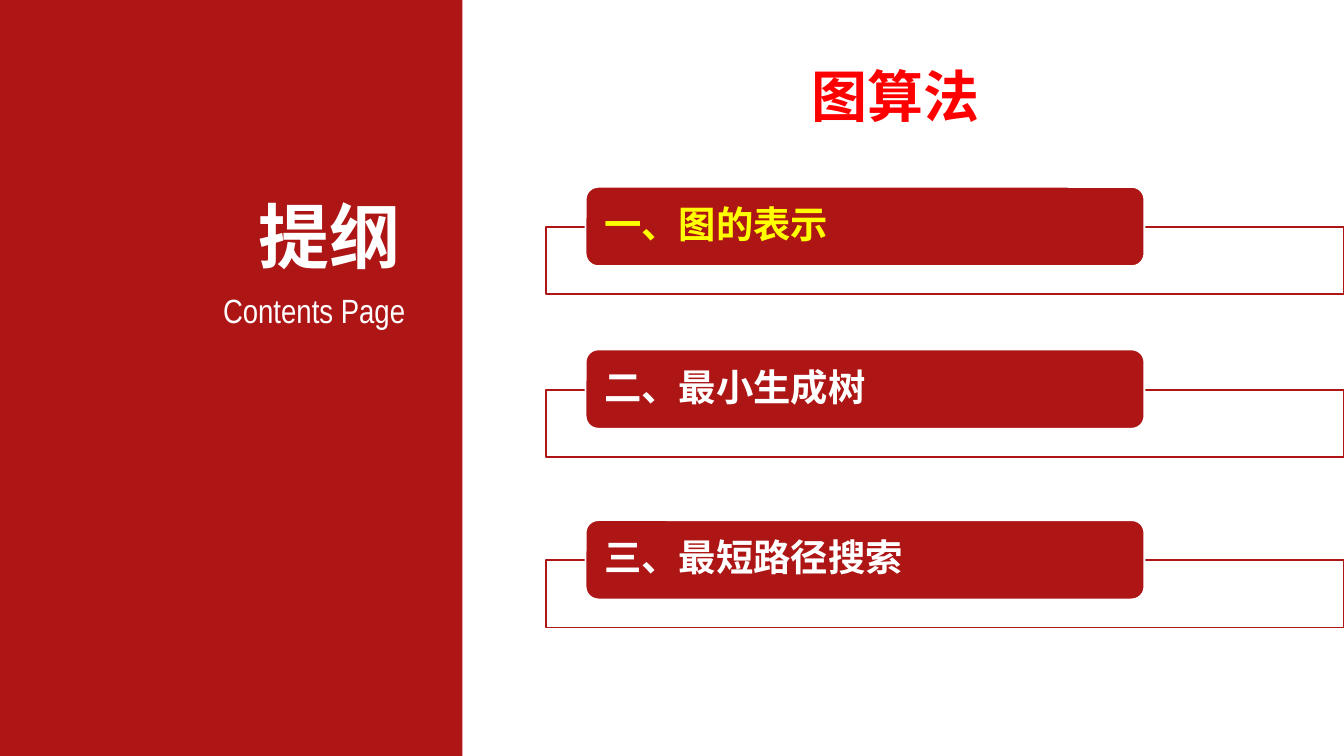
import dataclasses

import pptx
import pptx.dml.color
import pptx.enum.shapes
import pptx.enum.text
import pptx.oxml
import pptx.oxml.ns
import pptx.util

SHAPE = pptx.enum.shapes.MSO_SHAPE
ALIGN = pptx.enum.text.PP_ALIGN
ANCHOR = pptx.enum.text.MSO_ANCHOR
WIDTH = 10
HEIGHT = WIDTH * 9 / 16


@dataclasses.dataclass(frozen=True)
class Theme:
    red: str = "AE1616"
    white: str = "FFFFFF"
    title: str = "FF0000"
    current: str = "FFFF00"
    latin: str = "Arial"
    narrow: str = "Arial Narrow"
    bar: str = "Roboto"
    chinese: str = "Noto Sans CJK SC"
    heading_size: int = 38
    title_size: int = 30
    item_size: int = 20
    caption_size: int = 18


THEME = Theme()


def rgb(color):
    return pptx.dml.color.RGBColor.from_string(color)


def inches(box):
    return [pptx.util.Inches(v) for v in box]


def add_box(slide, kind, box, fill, line=None, alpha=None):
    sp = slide.shapes.add_shape(kind, *inches(box))
    sp.shadow.inherit = False
    sp.fill.solid()
    sp.fill.fore_color.rgb = rgb(fill)
    if line:
        sp.line.color.rgb = rgb(line)
        sp.line.width = pptx.util.Pt(1)
    else:
        sp.line.fill.background()
    if alpha:
        color = sp.fill._xPr.find(".//" + pptx.oxml.ns.qn("a:srgbClr"))
        node = pptx.oxml.parse_xml(f'<a:alpha {pptx.oxml.ns.nsdecls("a")} val="{alpha * 1000}"/>')
        color.append(node)
    return sp


def write(sp, text, size, color, font, align, bold=True, spacing=None,
          margins=(0.1, 0.05), anchor=ANCHOR.TOP):
    tf = sp.text_frame
    tf.word_wrap = True
    tf.vertical_anchor = anchor
    tf.margin_left = tf.margin_right = pptx.util.Inches(margins[0])
    tf.margin_top = tf.margin_bottom = pptx.util.Inches(margins[1])
    p = tf.paragraphs[0]
    p.alignment = align
    p.line_spacing = spacing
    r = p.add_run()
    r.text = text
    r.font.size = pptx.util.Pt(size)
    r.font.bold = bold
    r.font.name = font
    r.font.color.rgb = rgb(color)
    east_asian = pptx.oxml.parse_xml(
        f'<a:ea {pptx.oxml.ns.nsdecls("a")} typeface="{THEME.chinese}"/>')
    r.font._rPr.find(pptx.oxml.ns.qn("a:latin")).addnext(east_asian)


def add_side_panel(slide, box):
    x, y, w, h = box
    add_box(slide, SHAPE.RECTANGLE, box, THEME.red)
    caption = slide.shapes.add_textbox(
        *inches((x + 0.1 * w, y + 0.377 * h, 0.797 * w, 0.068 * h)))
    write(caption, "Contents Page", THEME.caption_size, THEME.white, THEME.narrow,
          ALIGN.RIGHT, bold=False, margins=(0.07, 0.04))
    heading = slide.shapes.add_textbox(
        *inches((x + 0.32 * w, y + 0.248 * h, 0.567 * w, 0.128 * h)))
    write(heading, "提纲", THEME.heading_size, THEME.white, THEME.latin,
          ALIGN.RIGHT, margins=(0.07, 0.04))


def add_title(slide, box):
    sp = slide.shapes.add_textbox(*inches(box))
    write(sp, "图算法", THEME.title_size, THEME.title, THEME.latin,
          ALIGN.CENTER, spacing=1.5, anchor=ANCHOR.MIDDLE)


def add_item(slide, box, text, color, font):
    """Place an outlined frame with a rounded bar over its top edge."""
    x, y, w, h = box
    bar_h = 0.59
    add_box(slide, SHAPE.RECTANGLE, (x, y + 0.3, w, h - 0.3),
            THEME.white, THEME.red, alpha=90)
    bar = add_box(slide, SHAPE.ROUNDED_RECTANGLE, (x + 0.05 * w, y, 0.7 * w, bar_h),
                  THEME.red, THEME.white)
    bar.adjustments[0] = 0.16
    write(bar, text, THEME.item_size, color, font, ALIGN.LEFT, spacing=0.9,
          margins=(0.11, 0), anchor=ANCHOR.MIDDLE)


def main():
    prs = pptx.Presentation()
    prs.slide_width, prs.slide_height = inches((WIDTH, HEIGHT))
    slide = prs.slides.add_slide(prs.slide_layouts[6])
    panel_w = 0.344 * WIDTH
    add_side_panel(slide, (0, 0, panel_w, HEIGHT))
    add_title(slide, (panel_w, -0.02, 0.645 * WIDTH, 1.21))
    items = [
        (1.39, "一、图的表示", THEME.current, THEME.bar),
        (2.6, "二、最小生成树", THEME.white, THEME.chinese),
        (3.87, "三、最短路径搜索", THEME.white, THEME.chinese),
    ]
    left = 0.406 * WIDTH
    for top, text, color, font in items:
        add_item(slide, (left, top, WIDTH - left, 0.8), text, color, font)
    prs.save("out.pptx")


if __name__ == "__main__":
    main()
